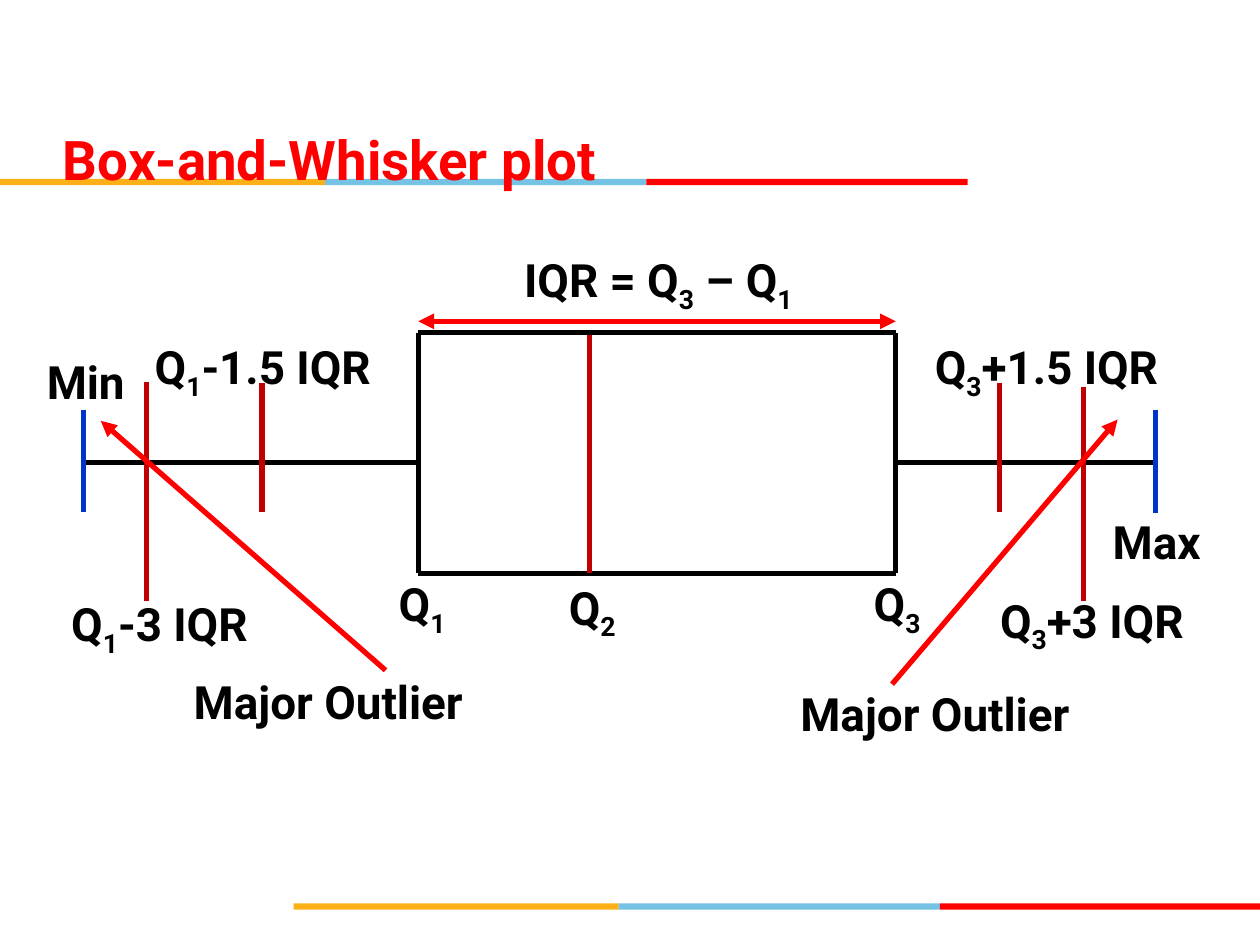
from pptx import Presentation
from pptx.dml.color import RGBColor
from pptx.enum.shapes import MSO_CONNECTOR, MSO_SHAPE
from pptx.enum.text import PP_ALIGN
from pptx.oxml.ns import qn
from pptx.util import Inches, Pt
from lxml.etree import SubElement

BLACK, RED, DARK, BLUE = "000000", "FF0000", "C00000", "0033CC"

deck = Presentation()
deck.slide_width, deck.slide_height = Inches(10), Inches(7.5)
slide = deck.slides.add_slide(deck.slide_layouts[6])
shapes = slide.shapes


def label(text, left, top, width, height=0.51, size=26.2, color=BLACK,
          align=PP_ALIGN.CENTER):
    """Add a bold text box; every second part between bars is a subscript."""
    box = shapes.add_textbox(*map(Inches, (left, top, width, height)))
    frame = box.text_frame
    frame.word_wrap = True
    frame.margin_left = frame.margin_right = Inches(0.06)
    frame.margin_top = frame.margin_bottom = Inches(0.03)
    para = frame.paragraphs[0]
    para.alignment = align
    for i, part in enumerate(text.split("|")):
        if not part:
            continue
        run = para.add_run()
        run.text = part
        font = run.font
        font.name, font.size, font.bold = "Roboto", Pt(size), True
        font.color.rgb = RGBColor.from_string(color)
        if i % 2:
            run._r.get_or_add_rPr().set("baseline", "-25000")


def line(x1, y1, x2, y2, color, *ends):
    """Draw a line; ends may hold headEnd and tailEnd for arrowheads."""
    link = shapes.add_connector(MSO_CONNECTOR.STRAIGHT,
                                *map(Inches, (x1, y1, x2, y2)))
    link.line.width = Pt(3)
    link.line.color.rgb = RGBColor.from_string(color)
    for end in ends:
        SubElement(link.line._get_or_add_ln(), qn("a:" + end), type="triangle")
    SubElement(link._element.spPr, qn("a:effectLst"))


# Three-coloured stripes under the title and at the foot
for start, top in ((2.33, 7.17), (0, 1.42)):
    left = start
    for width, color in ((2.58, "FCB017"), (2.55, "76C2E5"), (2.55, RED)):
        bar = shapes.add_shape(MSO_SHAPE.RECTANGLE,
                               *map(Inches, (left, top, width, 0.05)))
        bar.shadow.inherit = False
        bar.fill.solid()
        bar.fill.fore_color.rgb = RGBColor.from_string(color)
        bar.line.fill.background()
        left += width

label("Box-and-Whisker plot", 0.44, 0.97, 7.87, 0.48, 31.2, RED, PP_ALIGN.LEFT)

# Box and whiskers
low, high, q1, q2, q3 = 0.66, 9.17, 3.32, 4.68, 7.11
roof, floor, mid = 2.64, 4.55, 3.67
for x in (q1, q3):
    line(x, roof, x, floor, BLACK)
line(q1, floor, q3, floor, BLACK)
line(q2, roof, q2, floor, DARK)
line(q3, mid, high, mid, BLACK)
line(low, mid, q1, mid, BLACK)
line(q1, roof, q3, roof, BLACK)

# Extremes and fences
for x, top, end, color in (
    (low, 3.25, 4.06, BLUE), (high, 3.25, 4.07, BLUE),
    (2.08, 3.04, 4.06, DARK), (7.93, 3.04, 4.06, DARK),
    (1.16, 3.03, 4.77, DARK), (8.6, 3.07, 4.77, DARK),
):
    line(x, top, x, end, color)

# Arrows to the outliers and across the box
line(3.06, 5.32, 0.8, 3.34, RED, "tailEnd")
line(7.08, 5.43, 8.87, 3.33, RED, "tailEnd")
line(q1, 2.55, q3, 2.55, RED, "headEnd", "tailEnd")

for text, left, top, width in (
    ("Q|1", 2.99, 4.54, 0.72),
    ("Q|2", 4.4, 4.57, 0.6),
    ("Q|3", 6.82, 4.54, 0.6),
    ("Q|1|-1.5 IQR", 1.06, 2.66, 2.05),
    ("Q|3|+1.5 IQR", 7.28, 2.66, 2.05),
    ("Q|1|-3 IQR", 0.24, 4.7, 2.05),
    ("Q|3|+3 IQR", 7.64, 4.67, 2.05),
    ("Min", 0.24, 2.78, 0.88),
    ("Max", 8.74, 4.05, 0.88),
    ("Major Outlier", 1.27, 5.32, 2.67),
    ("Major Outlier", 5.97, 5.41, 2.9),
    ("IQR = Q|3| – Q|1", 3.92, 1.97, 2.61),
):
    label(text, left, top, width)

deck.save("out.pptx")
